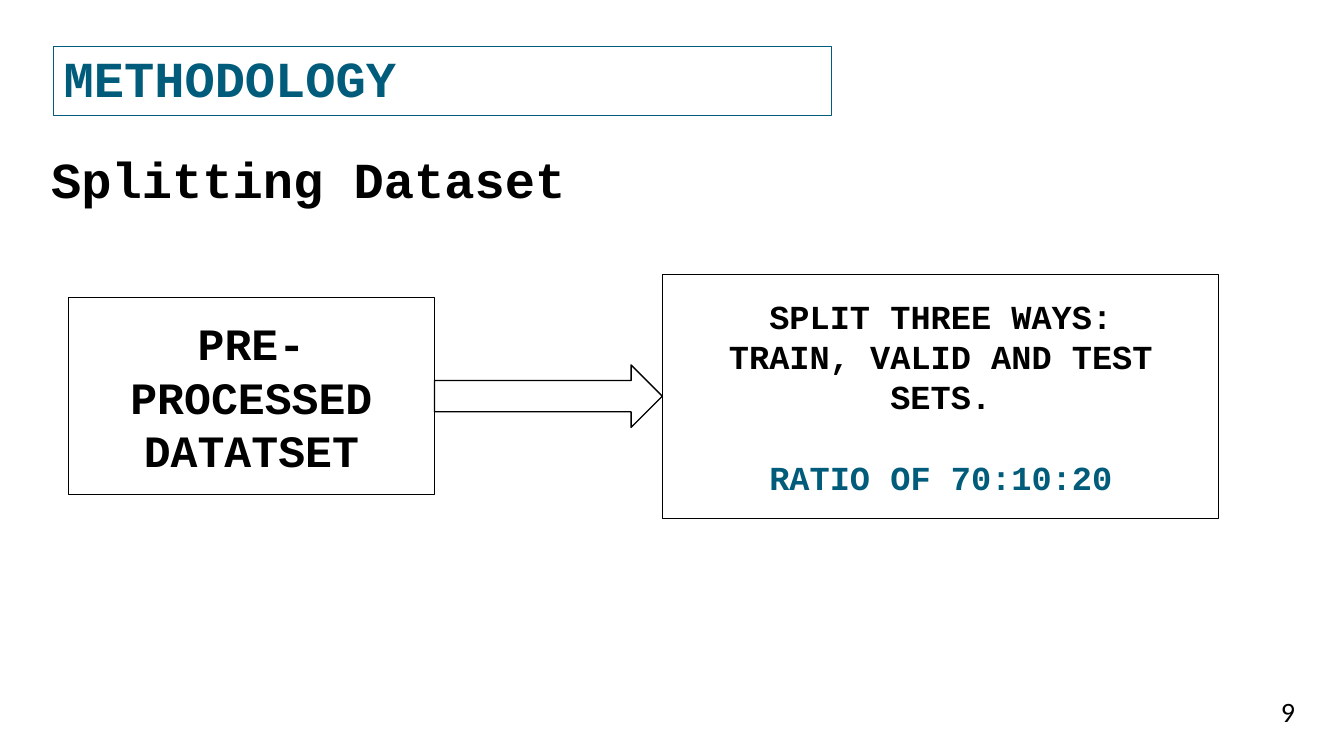
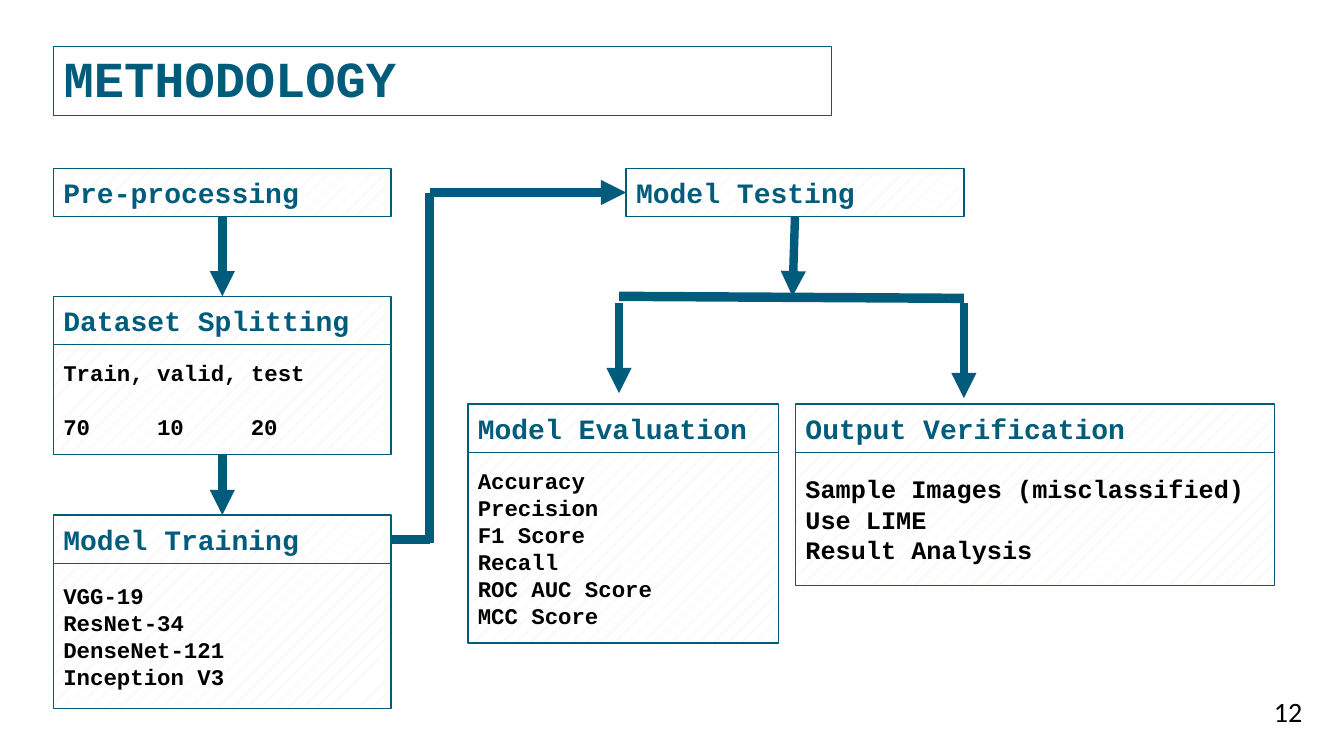
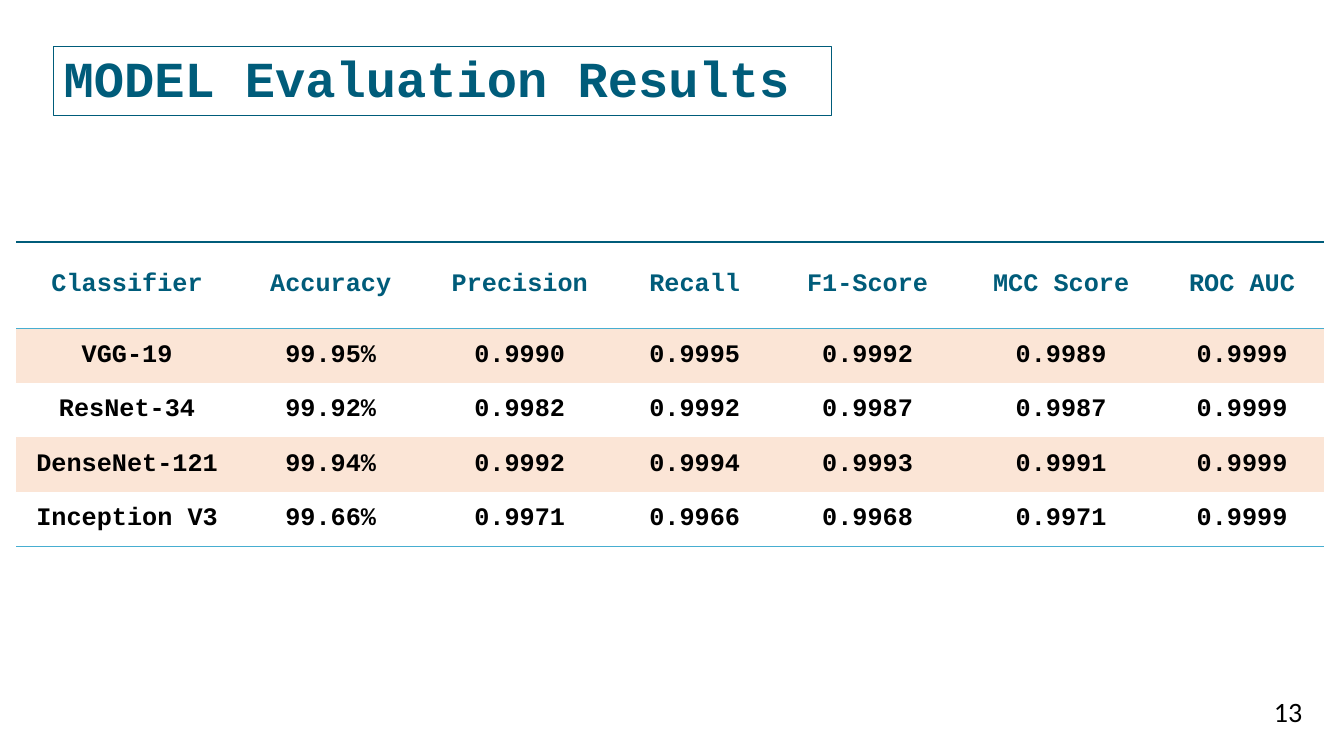
from dataclasses import dataclass

from lxml import etree
from pptx import Presentation
from pptx import util as u
from pptx.dml.color import RGBColor
from pptx.enum import dml, shapes, text
from pptx.oxml import ns


@dataclass(frozen=True)
class Theme:
    teal: str = "005C7A"
    sky: str = "47AED1"
    peach: str = "FBE5D6"
    hatch: str = "E7E6E6"
    black: str = "000000"
    white: str = "FFFFFF"
    font: str = "Courier New"
    number_font: str = "Calibri"
    title: int = 36
    source: int = 32
    result: int = 24
    heading: int = 20
    cell: int = 18
    listing: int = 16
    thin: float = 0.75
    rule: float = 1
    arrow: float = 6
    bar: float = 6.75


THEME = Theme()
MARGIN = 0.53
LEFT, MIDDLE, CENTER = text.PP_ALIGN.LEFT, text.MSO_ANCHOR.MIDDLE, text.PP_ALIGN.CENTER
NO_TABLE_STYLE = "{2D5ABB26-0587-4C30-8999-92F81FD0307C}"

# Slide 1
SPLIT_SOURCE = ["PRE-PROCESSED DATATSET"]
SPLIT_RESULT = ["SPLIT THREE WAYS:", "TRAIN, VALID AND TEST SETS.", "RATIO OF 70:10:20"]

# Slide 2: name -> heading, left, top, width, body height, body size, body lines
HEAD_HEIGHT, STEP_WIDTH = 0.48, 3.35
STEPS = {
    "prepare": ("Pre-processing", MARGIN, 1.67, STEP_WIDTH, 0, 0, []),
    "split": ("Dataset Splitting", MARGIN, 2.94, STEP_WIDTH, 1.09, THEME.listing,
              ["Train, valid, test", "70\t10\t20"]),
    "train": ("Model Training", MARGIN, 5.11, STEP_WIDTH, 1.44, THEME.listing,
              ["VGG-19", "ResNet-34", "DenseNet-121", "Inception V3"]),
    "test": ("Model Testing", 6.21, 1.67, STEP_WIDTH, 0, 0, []),
    "evaluate": ("Model Evaluation", 4.64, 4.01, 3.08, 1.89, THEME.listing,
                 ["Accuracy", "Precision", "F1 Score", "Recall",
                  "ROC AUC Score", "MCC Score"]),
    "verify": ("Output Verification", 7.89, 4.01, 4.75, 1.32, THEME.cell,
               ["Sample Images (misclassified)", "Use LIME", "Result Analysis"]),
}

# Slide 3
COLUMNS = [("Classifier", 2.2), ("Accuracy", 1.84), ("Precision", 1.91), ("Recall", 1.56),
           ("F1-Score", 1.87), ("MCC Score", 1.97), ("ROC AUC", 1.62)]
RESULTS = [
    ("VGG-19", "99.95%", "0.9990", "0.9995", "0.9992", "0.9989", "0.9999"),
    ("ResNet-34", "99.92%", "0.9982", "0.9992", "0.9987", "0.9987", "0.9999"),
    ("DenseNet-121", "99.94%", "0.9992", "0.9994", "0.9993", "0.9991", "0.9999"),
    ("Inception V3", "99.66%", "0.9971", "0.9966", "0.9968", "0.9971", "0.9999"),
]


def rgb(color):
    return RGBColor.from_string(color)


def inches(*lengths):
    return [u.Inches(length) for length in lengths]


def write(frame, lines, size, color=THEME.black, align=LEFT, font=THEME.font, bold=True):
    """Fill a text frame, one paragraph a line, all in one style."""
    frame.word_wrap = True
    frame.text = "\n".join(lines)
    for para in frame.paragraphs:
        para.alignment = align
        for span in para.runs:
            span.font.name, span.font.size = font, u.Pt(size)
            span.font.bold, span.font.color.rgb = bold, rgb(color)


def outline(shape, color, width):
    shape.line.color.rgb = rgb(color)
    shape.line.width = u.Pt(width)


def add_box(page, at, color, width, kind=shapes.MSO_SHAPE.RECTANGLE):
    """Unfilled, outlined shape with vertically centred text."""
    box = page.shapes.add_shape(kind, *inches(*at))
    box.shadow.inherit = False
    box.fill.background()
    outline(box, color, width)
    box.text_frame.vertical_anchor = MIDDLE
    return box


def add_hatched(page, at, lines, size, color):
    box = add_box(page, at, THEME.teal, THEME.rule)
    box.fill.patterned()
    box.fill.pattern = dml.MSO_PATTERN.PERCENT_5
    box.fill.fore_color.rgb = rgb(THEME.hatch)
    box.fill.back_color.rgb = rgb(THEME.white)
    write(box.text_frame, lines, size, color)
    return box


def add_line(page, start, end, width, color=THEME.teal, head=False):
    """Each end is a point or a (box, side) pair to join."""
    joined = [not isinstance(place[0], (int, float)) for place in (start, end)]
    points = [(0, 0) if join else place for join, place in zip(joined, (start, end))]
    line = page.shapes.add_connector(
        shapes.MSO_CONNECTOR.STRAIGHT, *inches(*points[0], *points[1]))
    if joined[0]:
        line.begin_connect(*start)
    if joined[1]:
        line.end_connect(*end)
    outline(line, color, width)
    if head:
        etree.SubElement(line.line._get_or_add_ln(), ns.qn("a:tailEnd"), type="triangle")
    etree.SubElement(line._element.spPr, ns.qn("a:effectLst"))


def add_page(deck, title, number):
    page = deck.slides.add_slide(deck.slide_layouts[5])
    box = page.shapes.title
    box.left, box.top, box.width, box.height = inches(MARGIN, 0.46, 7.72, 0.69)
    outline(box, THEME.teal, THEME.thin)
    write(box.text_frame, [title], THEME.title, THEME.teal)
    box.text_frame.auto_size = text.MSO_AUTO_SIZE.NONE
    box.text_frame.vertical_anchor = MIDDLE
    box.text_frame.paragraphs[0].line_spacing = 0.9

    footer = page.shapes.add_textbox(*inches(12.44, 6.81, 0.67, 0.46))
    write(footer.text_frame, [str(number)], THEME.heading, align=CENTER,
          font=THEME.number_font, bold=False)
    footer.text_frame.vertical_anchor = text.MSO_ANCHOR.BOTTOM
    return page


def build_splitting(deck):
    page = add_page(deck, "METHODOLOGY", 9)
    subtitle = page.shapes.add_textbox(*inches(0.41, 1.42, 10.62, 0.71))
    write(subtitle.text_frame, ["Splitting Dataset"], THEME.title)

    axis, source_left, source_right, result_left = 3.93, 0.68, 4.31, 6.57
    parts = [(source_left, source_right - source_left, 1.96, SPLIT_SOURCE, THEME.source),
             (result_left, 5.52, 2.42, SPLIT_RESULT, THEME.result)]
    for left, width, height, lines, size in parts:
        box = add_box(page, (left, axis - height / 2, width, height),
                      THEME.black, THEME.thin)
        write(box.text_frame, lines, size, align=CENTER)
    ratio = box.text_frame.paragraphs[-1]
    ratio.space_before = u.Pt(28.5)
    ratio.runs[0].font.color.rgb = rgb(THEME.teal)

    thickness = 0.62
    add_box(page, (source_right, axis - thickness / 2, result_left - source_right, thickness),
            THEME.black, THEME.rule, shapes.MSO_SHAPE.RIGHT_ARROW)


def build_workflow(deck):
    page = add_page(deck, "METHODOLOGY", 12)
    heads, bodies = {}, {}
    for name, (heading, left, top, width, height, size, lines) in STEPS.items():
        heads[name] = add_hatched(page, (left, top, width, HEAD_HEIGHT), [heading],
                                  THEME.heading, THEME.teal)
        if lines:
            bodies[name] = add_hatched(page, (left, top + HEAD_HEIGHT, width, height),
                                       lines, size, THEME.black)

    shares = bodies["split"].text_frame.paragraphs[-1]
    shares.space_before = u.Pt(19)
    stops = etree.SubElement(shares._p.get_or_add_pPr(), ns.qn("a:tabLst"))
    for column in (1, 2):
        etree.SubElement(stops, ns.qn("a:tab"), pos=str(u.Inches(0.93 * column)), algn="l")

    turn, train_axis, test_axis = 4.26, 5.35, 1.91
    fork_left, fork_right, fork_top = 6.14, 9.56, 2.94
    add_line(page, (heads["train"], 3), (turn, train_axis), THEME.bar)
    add_line(page, (turn, test_axis), (turn, train_axis + 0.04), THEME.bar)
    add_line(page, (fork_right, fork_top + 0.02), (fork_left, fork_top), THEME.bar)
    arrows = [
        ((heads["prepare"], 2), (heads["split"], 0)),
        ((bodies["split"], 2), (heads["train"], 0)),
        ((turn, test_axis), (heads["test"], 1)),
        ((heads["test"], 2), (7.86, fork_top)),
        ((fork_left, 3.01), (fork_left, 3.9)),
        ((fork_right, 3.01), (fork_right, 3.95)),
    ]
    for start, end in arrows:
        add_line(page, start, end, THEME.arrow, head=True)


def underline_cell(cell):
    border = etree.Element(ns.qn("a:lnB"), w=str(u.Pt(THEME.rule)))
    fill = etree.SubElement(border, ns.qn("a:solidFill"))
    etree.SubElement(fill, ns.qn("a:srgbClr"), val=THEME.sky)
    cell._tc.get_or_add_tcPr().insert(0, border)


def build_results(deck):
    page = add_page(deck, "MODEL Evaluation Results", 13)
    left, top, head_height, row_height = 0.16, 2.4, 0.86, 0.54
    names, widths = zip(*COLUMNS)
    right, bottom = left + sum(widths), top + head_height + row_height * len(RESULTS)
    table = page.shapes.add_table(len(RESULTS) + 1, len(COLUMNS), *inches(
        left, top, right - left, bottom - top)).table
    table.first_row = table.horz_banding = False
    table._tbl.tblPr.find(ns.qn("a:tableStyleId")).text = NO_TABLE_STYLE
    for column, width in zip(table.columns, widths):
        column.width = u.Inches(width)

    for index, values in enumerate([names, *RESULTS]):
        table.rows[index].height = u.Inches(row_height if index else head_height)
        for cell, value in zip(table.rows[index].cells, values):
            write(cell.text_frame, [value], THEME.cell,
                  THEME.black if index else THEME.teal, CENTER)
            cell.vertical_anchor = MIDDLE
            if index % 2:
                cell.fill.solid()
                cell.fill.fore_color.rgb = rgb(THEME.peach)
            else:
                cell.fill.background()
            if index == 0:
                underline_cell(cell)

    for height, color in ((bottom, THEME.sky), (top, THEME.teal)):
        add_line(page, (left, height), (right, height), THEME.rule, color)


def main():
    deck = Presentation()
    deck.slide_width, deck.slide_height = inches(13.33, 7.5)
    build_splitting(deck)
    build_workflow(deck)
    build_results(deck)
    deck.save("out.pptx")


if __name__ == "__main__":
    main()
